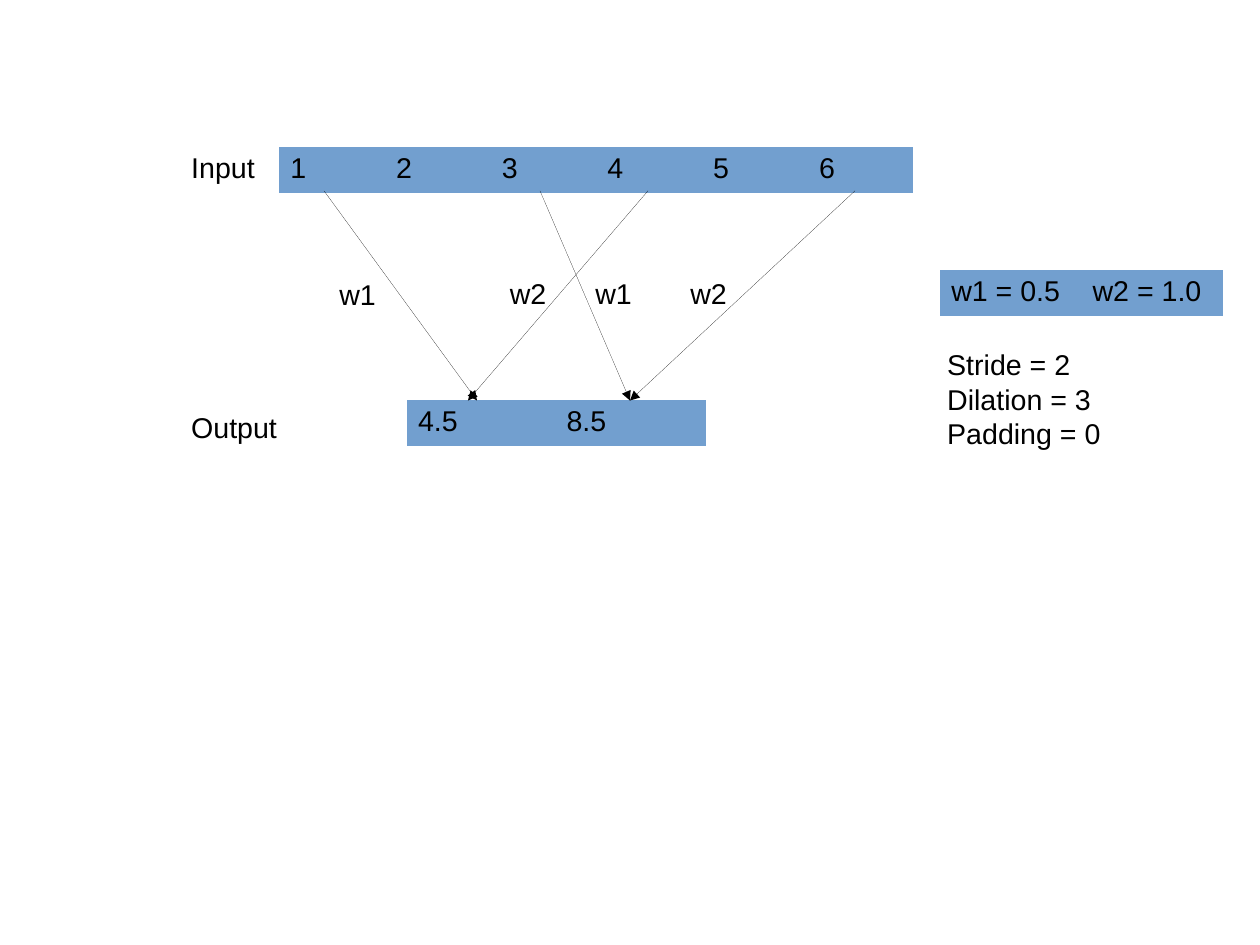
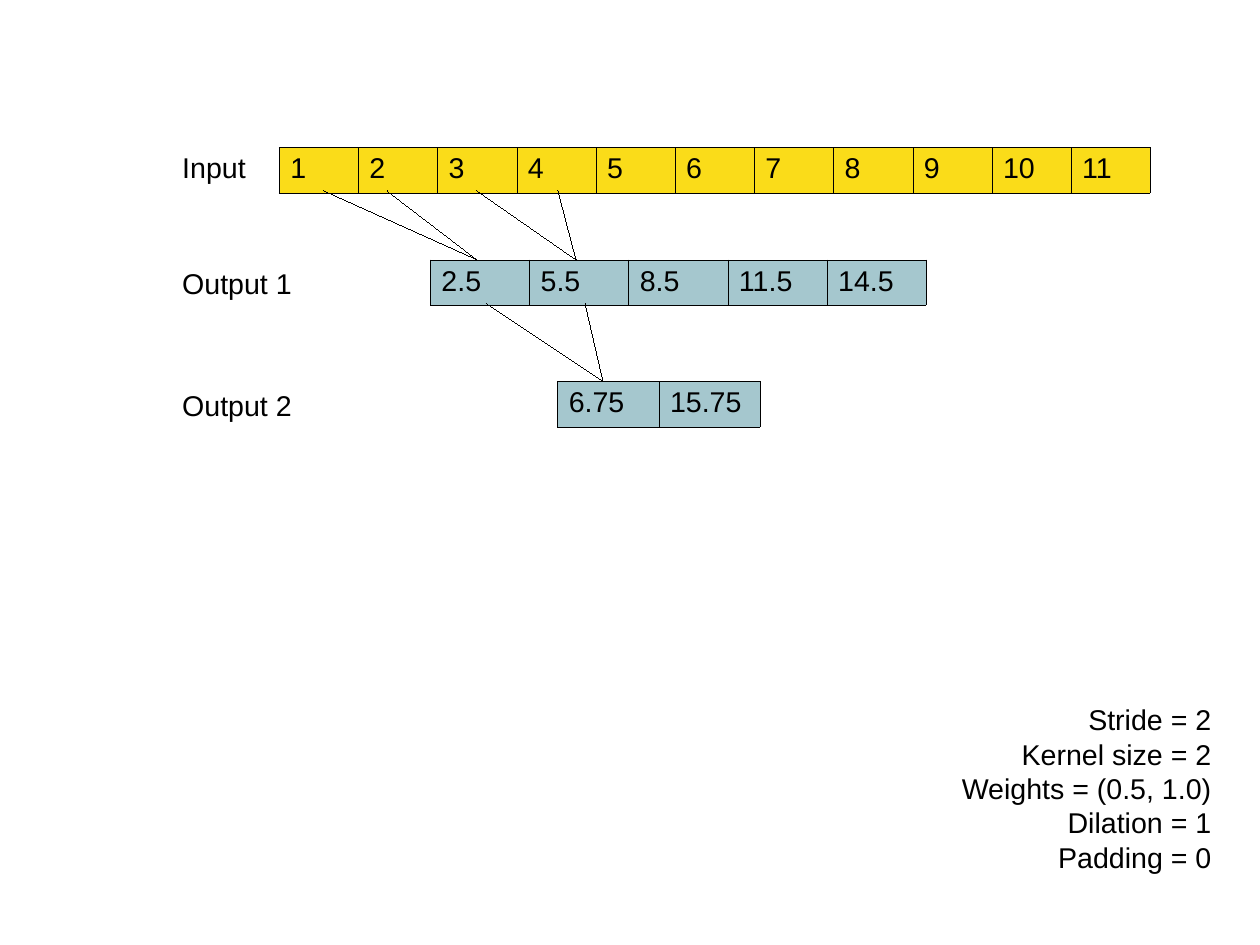
import pptx
import pptx.util
import pptx.dml.color
import pptx.enum.shapes
import pptx.enum.text
import pptx.oxml.ns
import lxml.etree

PX = 3600  # EMU in one px (ten px to the millimetre)
COLORS = {"ink": "000000", "blue": "729FCF", "yellow": "FADC19", "teal": "A5C7CE"}
FONT = {"name": "Arial", "size": pptx.util.Pt(18)}
INSETS = {"margin_left": 25 * PX, "margin_right": 25 * PX,
          "margin_top": 13 * PX, "margin_bottom": 13 * PX}
PLAIN_TABLE = {"first_row": False, "horz_banding": False}
ALIGN = pptx.enum.text.PP_ALIGN
ROW_HEIGHT = 101
LABEL_WIDTH, LABEL_HEIGHT = 300, 97


def px(*lengths):
    return [pptx.util.Emu(length * PX) for length in lengths]


def color(name):
    return pptx.dml.color.RGBColor.from_string(COLORS[name])


def apply(target, values):
    for name, value in values.items():
        setattr(target, name, value)


def sub(parent, tag, **attributes):
    return lxml.etree.SubElement(parent, pptx.oxml.ns.qn(tag), attributes)


def write(frame, lines, align=ALIGN.LEFT):
    for index, line in enumerate(lines):
        para = frame.add_paragraph() if index else frame.paragraphs[0]
        para.alignment = align
        span = para.add_run()
        span.text = line
        apply(span.font, FONT)
        span.font.color.rgb = color("ink")


def add_text(page, box, lines, align=ALIGN.LEFT):
    frame = page.shapes.add_textbox(*px(*box)).text_frame
    apply(frame, {**INSETS, "word_wrap": True})
    write(frame, lines, align)


def add_row(page, left, top, width, values, fill, bordered=False):
    """One table row with equal cells."""
    table = page.shapes.add_table(
        1, len(values), *px(left, top, width, ROW_HEIGHT)).table
    apply(table, PLAIN_TABLE)
    for column, value in enumerate(values):
        table.columns[column].width = pptx.util.Emu(width * PX // len(values))
        cell = table.cell(0, column)
        apply(cell, INSETS)
        write(cell.text_frame, [value])
        properties = cell._tc.get_or_add_tcPr()
        for side in ("a:lnL", "a:lnR", "a:lnT", "a:lnB"):
            border = sub(properties, side, w="720")
            if bordered:
                sub(sub(border, "a:solidFill"), "a:srgbClr", val=COLORS["ink"])
            else:
                sub(border, "a:noFill")
        cell.fill.solid()
        cell.fill.fore_color.rgb = color(fill)


def add_link(page, start, end, arrow=False):
    link = page.shapes.add_connector(
        pptx.enum.shapes.MSO_CONNECTOR.STRAIGHT, *px(*start, *end))
    link.line.color.rgb = color("ink")
    link.line.width = pptx.util.Emu(1)  # hairline
    if arrow:
        sub(link.line._get_or_add_ln(), "a:tailEnd", type="triangle")
    sub(link._element.spPr, "a:effectLst")


def add_diagram(page, left, top, labels, rows, links, bordered=False, arrow=False):
    """Labelled rows and the links between them, measured from left and top."""
    for x, y, width, values, fill in rows:
        add_row(page, left + x, top + y, width, values, fill, bordered)
    for start_y, end_y, pairs in links:
        for start_x, end_x in pairs:
            add_link(page, (left + start_x, top + start_y),
                     (left + end_x, top + end_y), arrow)
    for y, label in labels:
        add_text(page, (left, top + y, LABEL_WIDTH, LABEL_HEIGHT), [label])


def add_weights(page, left, top):
    """Names of the weights beside the arrows."""
    for x, y, name in ((898, 0, "w1"), (329, 3, "w1"), (708, 0, "w2"), (1109, 0, "w2")):
        add_text(page, (left + x, top + y, 152, LABEL_HEIGHT), [name])


def add_kernel(page, left, top):
    """Weight values with the settings below."""
    add_row(page, left, top, 628, ["w1 = 0.5", "w2 = 1.0"], "blue")
    add_text(page, (left - 9, top + 159, 420, 240),
             ["Stride = 2", "Dilation = 3", "Padding = 0"])


def build_dilated(page):
    left, top = 400, 320
    add_diagram(
        page, left, top,
        labels=[(0, "Input"), (579, "Output")],
        rows=[(220, 7, 1410, list("123456"), "blue"),
              (504, 569, 335, ["4.5"], "blue"),
              (834, 569, 335, ["8.5"], "blue")],
        links=[(104, 570, [(320, 660), (1040, 640), (800, 1000), (1500, 1000)])],
        arrow=True)
    add_weights(page, left, top + 280)
    add_kernel(page, 2089, 600)


def build_stacked(page):
    add_diagram(
        page, 380, 320,
        labels=[(0, "Input"), (259, "Output 1"), (529, "Output 2")],
        rows=[(240, 7, 1936, [str(number) for number in range(1, 12)], "yellow"),
              (576, 257, 1102, ["2.5", "5.5", "8.5", "11.5", "14.5"], "teal"),
              (859, 527, 450, ["6.75", "15.75"], "teal")],
        links=[(104, 257, [(340, 680), (480, 680), (680, 900), (860, 900)]),
               (354, 527, [(700, 960), (920, 960)])],
        bordered=True)
    # Settings
    add_text(page, (2082, 1548, 635, 381),
             ["Stride = 2", "Kernel size = 2", "Weights = (0.5, 1.0)",
              "Dilation = 1", "Padding = 0"], ALIGN.RIGHT)


def main():
    deck = pptx.Presentation()
    deck.slide_width, deck.slide_height = px(2800, 2100)
    for build in (build_dilated, build_stacked):
        build(deck.slides.add_slide(deck.slide_layouts[6]))
    deck.save("out.pptx")


if __name__ == "__main__":
    main()
